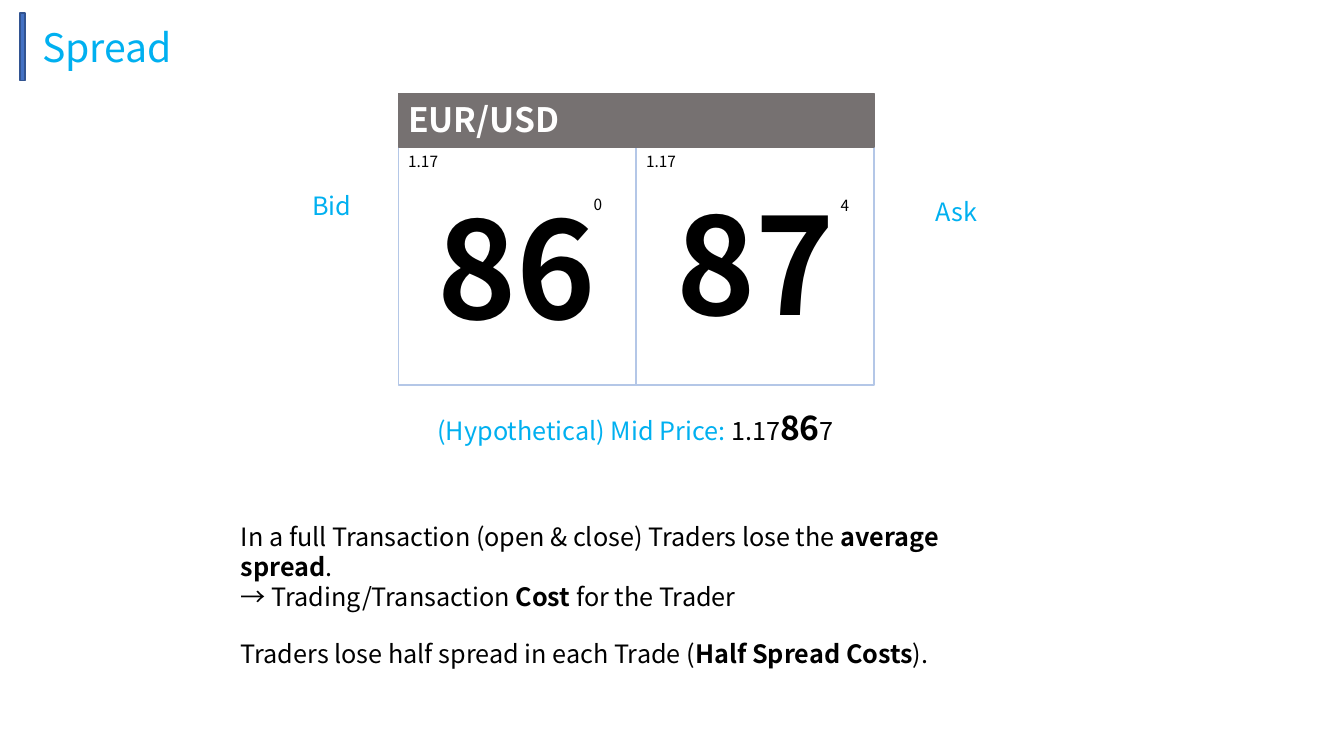
from dataclasses import dataclass

from pptx import Presentation
from pptx import util as u
from pptx.dml.color import RGBColor
from pptx.enum import shapes, text

FONT = "Noto Sans CJK KR"
COLORS = {"accent": "00B0F0", "ink": "000000", "white": "FFFFFF", "header": "767171",
          "border": "B4C7E7", "bar": "4472C4", "bar_edge": "325491"}

# Quote board grid: two square cells under one header
LEFT, TOP, CELL, HEADER = 3.95, 1.46, 2.36, 0.53


@dataclass
class Run:
    words: str
    size: int = 18
    color: str = "ink"
    bold: bool = False


@dataclass
class Box:
    x: float
    y: float
    w: float
    h: float


@dataclass
class Quote:
    big: str
    pip: str
    big_at: tuple[float, float]
    pip_at: tuple[float, float]


def rgb(name: str) -> RGBColor:
    return RGBColor.from_string(COLORS[name])


def place(sp, box: Box) -> None:
    sp.left, sp.top, sp.width, sp.height = map(u.Inches, (box.x, box.y, box.w, box.h))


def fill_text(sp, paragraphs: list[list[Run]], wrap: bool = True) -> None:
    tf = sp.text_frame
    tf.word_wrap = wrap
    tf.auto_size = text.MSO_AUTO_SIZE.SHAPE_TO_FIT_TEXT
    tf.vertical_anchor = text.MSO_ANCHOR.TOP
    for i, runs in enumerate(paragraphs):
        p = tf.paragraphs[0] if i == 0 else tf.add_paragraph()
        p.line_spacing = 1.0
        p.space_before = u.Pt(0)
        for run in runs:
            r = p.add_run()
            r.text = run.words
            r.font.name, r.font.size, r.font.bold = FONT, u.Pt(run.size), run.bold
            r.font.color.rgb = rgb(run.color)


def add_text(s, box: Box, *paragraphs: list[Run], wrap: bool = True) -> None:
    sp = s.shapes.add_textbox(0, 0, 0, 0)
    place(sp, box)
    fill_text(sp, list(paragraphs), wrap)


def add_rect(s, box: Box, fill: str, line: str) -> None:
    sp = s.shapes.add_shape(shapes.MSO_SHAPE.RECTANGLE, 0, 0, 0, 0)
    place(sp, box)
    sp.shadow.inherit = False
    sp.fill.solid()
    sp.fill.fore_color.rgb = rgb(fill)
    sp.line.color.rgb = rgb(line)
    sp.line.width = u.Pt(1)


prs = Presentation()
prs.slide_width, prs.slide_height = u.Inches(13.33), u.Inches(7.5)
s = prs.slides.add_slide(prs.slide_layouts[5])

# Title and its bar
place(s.shapes.title, Box(0.32, 0.18, 2.51, 0.57))
fill_text(s.shapes.title, [[Run("Spread", 28, "accent")]])
s.shapes.title.text_frame.paragraphs[0].alignment = text.PP_ALIGN.LEFT
add_rect(s, Box(0.2, 0.13, 0.05, 0.67), "bar", "bar_edge")

# Quote board
quotes = [Quote("86", "0", (4.24, 1.79), (5.79, 1.89)),
          Quote("87", "4", (6.61, 1.75), (8.24, 1.9))]
for col, quote in enumerate(quotes):
    x = LEFT + col * CELL
    add_rect(s, Box(x, TOP, CELL, CELL), "white", "border")
    add_text(s, Box(x, TOP, 0.57, 0.29), [Run("1.17", 11)])
    add_text(s, Box(*quote.big_at, 1.77, 1.72), [Run(quote.big, 96, bold=True)], wrap=False)
    add_text(s, Box(*quote.pip_at, 0.57, 0.29), [Run(quote.pip, 11)])
add_rect(s, Box(LEFT, TOP - HEADER, 2 * CELL, HEADER), "header", "header")
add_text(s, Box(LEFT, TOP - HEADER, 1.93, 0.5), [Run("EUR/USD", 24, "white", True)])

# Side labels
for label, x, y in (("Bid", 3, 1.84), ("Ask", 9.18, 1.9)):
    add_text(s, Box(x, y, 0.76, 0.4), [Run(label, color="accent")])

# Mid price
add_text(s, Box(4.24, 3.99, 4.48, 0.5),
         [Run("(Hypothetical) Mid Price: ", color="accent"), Run("1.17"),
          Run("86", 24, bold=True), Run("7")])

# Explanation
add_text(s, Box(2.29, 5.12, 8.04, 0.71),
         [Run("In a full Transaction (open & close) Traders lose the "),
          Run("average spread", bold=True), Run(".")],
         [Run("→ Trading/Transaction "), Run("Cost", bold=True), Run(" for the Trader")])
add_text(s, Box(2.29, 6.28, 8.04, 0.4),
         [Run("Traders lose half spread in each Trade ("),
          Run("Half Spread Costs", bold=True), Run(").")])

prs.save("out.pptx")
